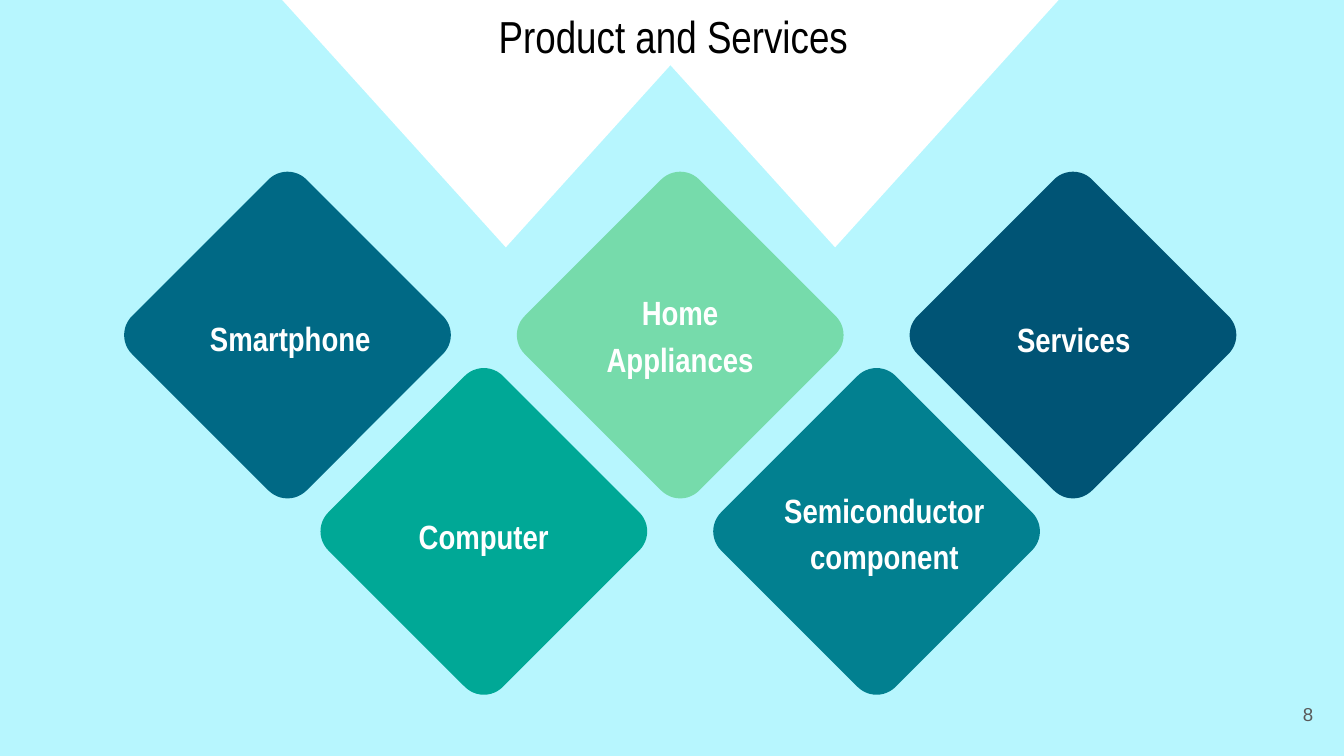
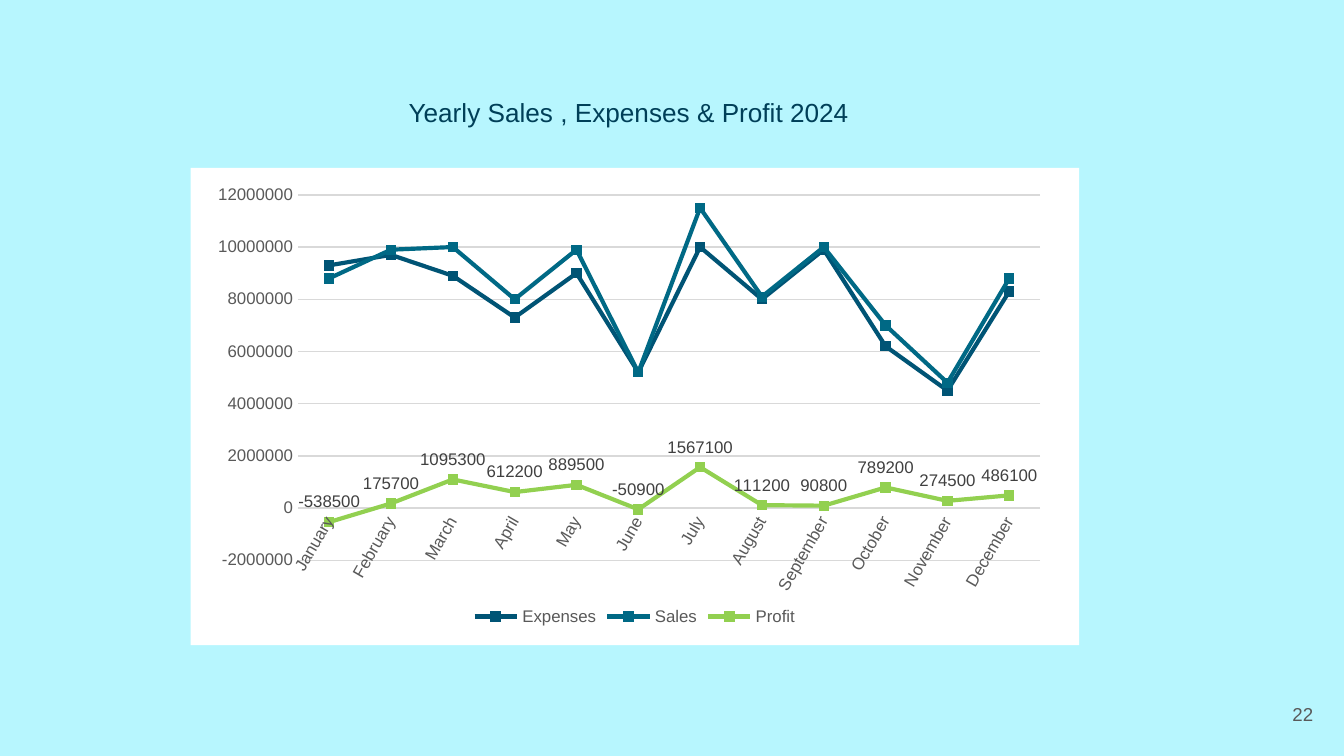
from lxml.etree import SubElement
from pptx import Presentation
from pptx.chart.data import CategoryChartData
from pptx.dml.color import RGBColor
from pptx.enum.chart import XL_CHART_TYPE as ChartType, XL_LABEL_POSITION as LabelPosition
from pptx.enum.chart import XL_LEGEND_POSITION as LegendPosition, XL_MARKER_STYLE as Marker
from pptx.enum.chart import XL_TICK_MARK as TickMark
from pptx.enum.shapes import MSO_SHAPE as Shape
from pptx.enum.text import MSO_ANCHOR as Anchor, MSO_AUTO_SIZE as AutoSize, PP_ALIGN as Align
from pptx.oxml.ns import qn
from pptx.util import Pt

SKY = RGBColor(0xB7, 0xF6, 0xFE)
WHITE = RGBColor(0xFF, 0xFF, 0xFF)
BLACK = RGBColor(0, 0, 0)
NAVY = RGBColor(0x00, 0x54, 0x75)
BLUE = RGBColor(0x00, 0x69, 0x85)
TEAL = RGBColor(0x02, 0x80, 0x90)
JADE = RGBColor(0x00, 0xA8, 0x96)
MINT = RGBColor(0x76, 0xDB, 0xAB)
LIME = RGBColor(0x92, 0xD0, 0x50)
INK = RGBColor(0x00, 0x3F, 0x58)
DARK_GREY = RGBColor(0x40, 0x40, 0x40)
GREY = RGBColor(0x59, 0x59, 0x59)
GRID = RGBColor(0xD9, 0xD9, 0xD9)

INSET = 7.2


def write(box, text, place, font, size, color, align, anchor=Anchor.MIDDLE, inset=INSET, bold=False):
    box.left, box.top, box.width, box.height = (Pt(value) for value in place)
    frame = box.text_frame
    frame.text = text
    frame.word_wrap = True
    frame.auto_size = AutoSize.NONE
    frame.vertical_anchor = anchor
    frame.margin_left = frame.margin_right = Pt(INSET)
    frame.margin_top = frame.margin_bottom = Pt(inset)
    para = frame.paragraphs[0]
    para.alignment = align
    para.font.name = font
    para.font.size = Pt(size)
    para.font.color.rgb = color
    para.font.bold = bold
    return para


def add_solid(page, kind, left, top, width, height, color):
    shape = page.shapes.add_shape(kind, Pt(left), Pt(top), Pt(width), Pt(height))
    shape.shadow.inherit = False
    shape.fill.solid()
    shape.fill.fore_color.rgb = color
    shape.line.fill.background()
    return shape


deck = Presentation()
deck.slide_width, deck.slide_height = Pt(720), Pt(405)
background = deck.slide_master.background.fill
background.solid()
background.fore_color.rgb = SKY
title_only = deck.slide_layouts[5]
products = deck.slides.add_slide(title_only)
finances = deck.slides.add_slide(title_only)

for left in (327.6, 151.2):
    triangle = add_solid(products, Shape.ISOSCELES_TRIANGLE, left, 0, 239.5, 132.5, WHITE)
    triangle.rotation = 180

title = products.shapes.title
title.element.getparent().append(title.element)
write(title, "Product and Services", (36.7, -3.6, 648, 45.4), "Arial Narrow", 24, BLACK, Align.CENTER)

SIDE, RADIUS, STEP = 132.2, 14.4, 105.2
tiles = [
    ("Smartphone", BLUE, 95.8, 159.8, 119.5),
    ("Computer", JADE, 199.4, 265.7, 119.5),
    ("Home Appliances", MINT, 304.6, 146.2, 119.5),
    ("Semiconductor component", TEAL, 409.7, 252, 128.2),
    ("Services", NAVY, 515.5, 160.6, 119.5),
]
for index, (label, color, left, top, width) in enumerate(tiles):
    center_x = 154 + index * STEP
    center_y = 179.5 + index % 2 * STEP
    diamond = add_solid(products, Shape.ROUNDED_RECTANGLE, center_x - SIDE / 2, center_y - SIDE / 2,
                        SIDE, SIDE, color)
    diamond.adjustments[0] = RADIUS / SIDE
    diamond.rotation = 45
    box = products.shapes.add_textbox(0, 0, 0, 0)
    para = write(box, label, (left, top, width, 37.4), "Arial Narrow", 18, WHITE, Align.CENTER,
                 Anchor.TOP, bold=True)
    para.line_spacing = 1.15
    para.space_after = Pt(16)

add_solid(finances, Shape.RECTANGLE, 102.2, 90, 476, 255.6, WHITE)

data = CategoryChartData()
data.categories = ["January", "February", "March", "April", "May", "June", "July",
                   "August", "September", "October", "November", "December"]
data.add_series("Expenses", [9300000, 9700000, 8900000, 7300000, 9000000, 5200000,
                             10000000, 8000000, 9900000, 6200000, 4500000, 8300000])
data.add_series("Sales", [8800000, 9900000, 10000000, 8000000, 9900000, 5200000,
                          11500000, 8100000, 10000000, 7000000, 4800000, 8800000])
data.add_series("Profit", [-538500, 175700, 1095300, 612200, 889500, -50900,
                           1567100, 111200, 90800, 789200, 274500, 486100])
chart = finances.shapes.add_chart(ChartType.LINE_MARKERS, Pt(113), Pt(69.8), Pt(454.3), Pt(268.6), data).chart
chart.has_title = False
chart.font.name = "Arial"
chart.font.size = Pt(10)
chart.font.color.rgb = BLACK
chart.has_legend = True
chart.legend.position = LegendPosition.BOTTOM
chart.legend.include_in_layout = False

months, amounts = chart.category_axis, chart.value_axis
for axis in (months, amounts):
    axis.major_tick_mark = axis.minor_tick_mark = TickMark.NONE
months.format.line.color.rgb = GRID
months.format.line.width = Pt(0.75)
amounts.format.line.fill.background()
amounts.minimum_scale, amounts.maximum_scale, amounts.major_unit = -2000000, 12000000, 2000000
amounts.major_gridlines.format.line.color.rgb = GRID
amounts.major_gridlines.format.line.width = Pt(0.75)

plot = chart.plots[0]
plot.vary_by_categories = False
for series, color in zip(plot.series, (NAVY, BLUE, LIME)):
    series.smooth = False
    series.format.line.color.rgb = color
    series.format.line.width = Pt(2.25)
    series.marker.style = Marker.SQUARE
    series.marker.size = 5
    series.marker.format.fill.solid()
    series.marker.format.fill.fore_color.rgb = color
    series.marker.format.line.color.rgb = color
labels = plot.series[2].data_labels
labels.show_value = True
labels.position = LabelPosition.ABOVE

for font, color in ((months.tick_labels.font, GREY), (amounts.tick_labels.font, GREY),
                    (chart.legend.font, GREY), (labels.font, DARK_GREY)):
    font.name = "Arial"
    font.size = Pt(9)
    font.color.rgb = color
months_xml = chart.element.find(".//" + qn("c:catAx"))
months_xml.find(qn("c:txPr")).find(qn("a:bodyPr")).set("rot", "-3600000")

area = chart.element.find(".//" + qn("c:plotArea"))
layout = area.find(qn("c:layout"))
if layout is None:
    layout = SubElement(area, qn("c:layout"))
    area.insert(0, layout)
manual = SubElement(layout, qn("c:manualLayout"))
for tag, value in (("layoutTarget", "inner"), ("xMode", "edge"), ("yMode", "edge"),
                   ("x", "0.103"), ("y", "0.129"), ("w", "0.875"), ("h", "0.729")):
    SubElement(manual, qn("c:" + tag)).set("val", value)

title = finances.shapes.title
title.element.getparent().append(title.element)
write(title, "Yearly Sales , Expenses & Profit 2024", (211.7, 48.2, 422.6, 24.5), "Arial", 14, INK,
      Align.LEFT, Anchor.TOP, 3.6)

for page, number in ((products, "8"), (finances, "22")):
    box = page.shapes.add_textbox(0, 0, 0, 0)
    write(box, number, (667.4, 367.2, 43.2, 31), "Arial", 10, GREY, Align.RIGHT)

deck.save("out.pptx")
